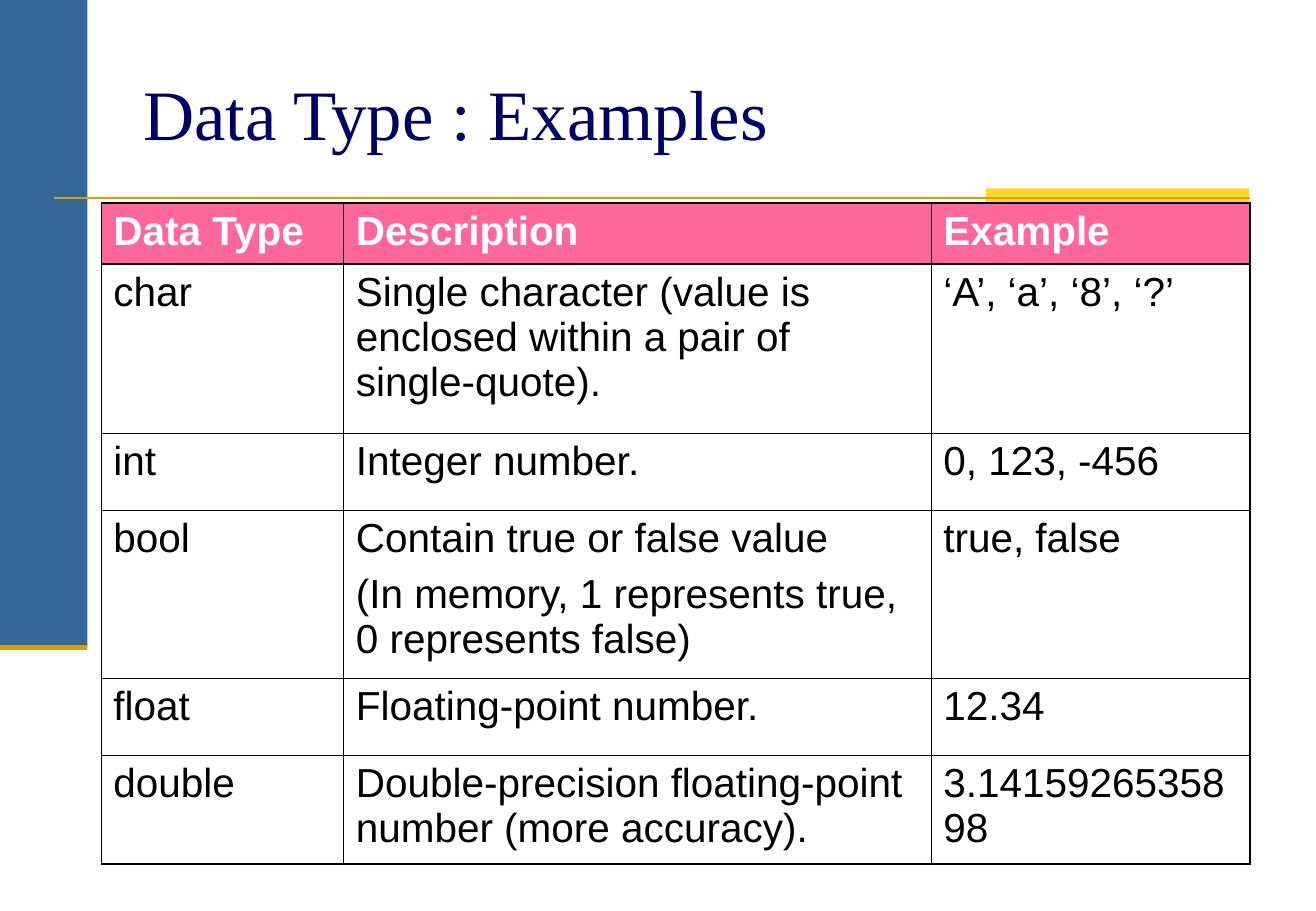
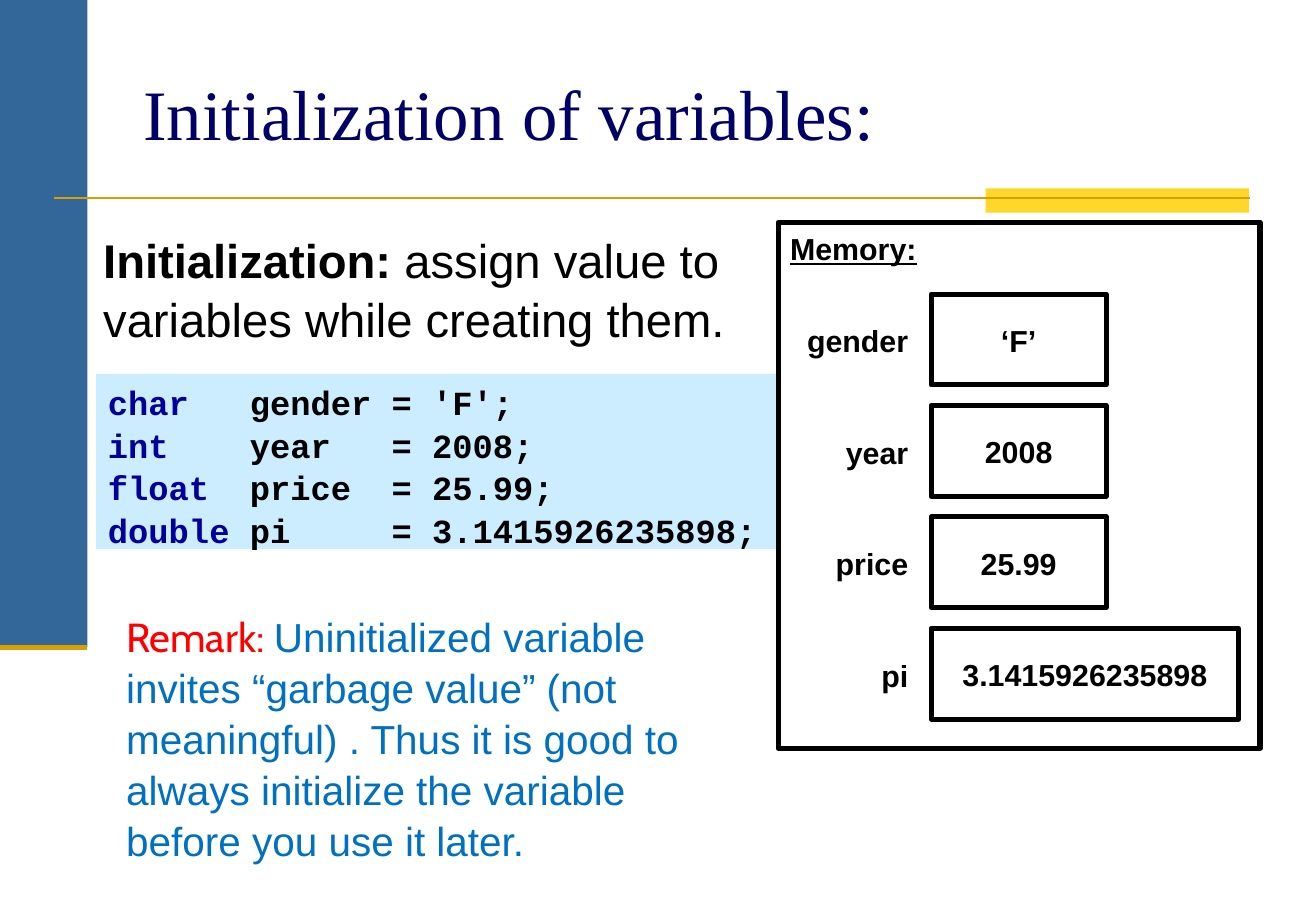
from lxml.etree import SubElement
from pptx import Presentation
from pptx.dml.color import RGBColor
from pptx.enum.shapes import MSO_CONNECTOR, MSO_SHAPE
from pptx.enum.text import MSO_ANCHOR, PP_ALIGN
from pptx.oxml.ns import qn
from pptx.util import Cm, Pt

WHITE = RGBColor(0xFF, 0xFF, 0xFF)
BLACK = RGBColor(0x00, 0x00, 0x00)
STEEL = RGBColor(0x33, 0x66, 0x99)
YELLOW = RGBColor(0xFF, 0xD7, 0x2B)
GOLD = RGBColor(0xD8, 0x9F, 0x00)
NAVY = RGBColor(0x00, 0x00, 0x66)
PINK = RGBColor(0xFF, 0x66, 0x99)
PALE_BLUE = RGBColor(0xCC, 0xEC, 0xFF)
KEYWORD_BLUE = RGBColor(0x00, 0x00, 0x99)
RED = RGBColor(0xFF, 0x00, 0x00)
REMARK_BLUE = RGBColor(0x00, 0x70, 0xC0)

BODY, SERIF, MONO, ACCENT = "Arial", "Times New Roman", "Courier New", "Cabin"
LINE_SPACING = 1.05
THICK, THIN = Pt(1.08), Pt(0.45)

TYPE_ROWS = [
    ("Data Type", "Description", "Example"),
    ("char", "Single character (value is enclosed within a pair of single-quote).",
     "‘A’, ‘a’, ‘8’, ‘?’"),
    ("int", "Integer number.", "0, 123, -456"),
    ("bool", "Contain true or false value\n(In memory, 1 represents true, 0 represents false)",
     "true, false"),
    ("float", "Floating-point number.", "12.34"),
    ("double", "Double-precision floating-point number (more accuracy).",
     "3.1415926535898"),
]
COLUMN_WIDTHS = (5.07, 12.29, 6.67)
ROW_HEIGHTS = (1.27, 3.54, 1.61, 3.51, 1.61, 2.28)

CODE_LINES = [
    ("char", "   gender = 'F';"),
    ("int", "    year   = 2008;"),
    ("float", "  price  = 25.99;"),
    ("double", " pi     = 3.1415926235898;"),
]
MEMORY = [("gender", "‘F’", 3.66), ("year", "2008", 3.66),
          ("price", "25.99", 3.66), ("pi", "3.1415926235898", 6.43)]


def style(font, size, color, name=BODY, bold=False, underline=False):
    font.size, font.name, font.bold, font.underline = Pt(size), name, bold, underline
    font.color.rgb = color


def add_span(para, text, size, color, **looks):
    span = para.add_run()
    span.text = text
    style(span.font, size, color, **looks)


def add_rect(page, left, top, width, height, fill, outlined=False):
    rect = page.shapes.add_shape(MSO_SHAPE.RECTANGLE, Cm(left), Cm(top), Cm(width), Cm(height))
    rect.shadow.inherit = False
    rect.fill.solid()
    rect.fill.fore_color.rgb = fill
    if outlined:
        rect.line.color.rgb = BLACK
        rect.line.width = Pt(3)
    else:
        rect.line.fill.background()
    return rect


def add_rule(page, left, right, y, weight):
    rule = page.shapes.add_connector(MSO_CONNECTOR.STRAIGHT, Cm(left), Cm(y), Cm(right), Cm(y))
    rule.line.color.rgb = GOLD
    rule.line.width = Pt(weight)
    SubElement(rule.element.spPr, qn("a:effectLst"))
    return rule


def first_para(shape, align=PP_ALIGN.LEFT, anchor=MSO_ANCHOR.TOP):
    """Prepare the shape for wrapped text and return its first paragraph."""
    shape.text_frame.word_wrap = True
    shape.text_frame.vertical_anchor = anchor
    para = shape.text_frame.paragraphs[0]
    para.alignment = align
    para.line_spacing = LINE_SPACING
    return para


def add_text(page, left, top, width, height, align=PP_ALIGN.LEFT):
    box = page.shapes.add_textbox(Cm(left), Cm(top), Cm(width), Cm(height))
    return first_para(box, align)


def add_page(deck, title):
    page = deck.slides.add_slide(deck.slide_layouts[5])
    heading = page.shapes.title
    heading.left, heading.top, heading.width, heading.height = Cm(2.74), Cm(0.76), Cm(23.4), Cm(3.18)
    heading.text_frame.text = title
    heading.text_frame.vertical_anchor = MSO_ANCHOR.MIDDLE
    para = heading.text_frame.paragraphs[0]
    para.alignment = PP_ALIGN.LEFT
    style(para.runs[0].font, 42, NAVY, name=SERIF)
    return page


def move_bands_to_layout(page):
    """Draw the shared bands and place them on the layout of the page."""
    layout = page.slide_layout
    for holder in list(layout.placeholders):
        if holder.placeholder_format.idx:
            layout.shapes.element.remove(holder.element)
    bands = [
        add_rect(page, 0, 0, 1.83, 13.54, STEEL),
        add_rect(page, 20.62, 3.94, 5.51, 0.51, YELLOW),
        add_rule(page, 1.14, 26.14, 4.14, 1.5),
        add_rule(page, 0, 1.83, 13.54, 3.5),
    ]
    for position, band in enumerate(bands, start=2):
        layout.shapes.element.insert(position, band.element)


def set_borders(cell, **weights):
    """Set black borders; the keys are L, R, T and B in that order."""
    properties = cell._tc.get_or_add_tcPr()
    for side, weight in weights.items():
        line = SubElement(properties, qn(f"a:ln{side}"), w=str(int(weight)))
        fill = SubElement(line, qn("a:solidFill"))
        SubElement(fill, qn("a:srgbClr"), val=str(BLACK))


def fill_cell(cell, text, is_header):
    cell.text_frame.text = text
    for index, para in enumerate(cell.text_frame.paragraphs):
        if index:
            para.space_before = Pt(6)
        style(para.runs[0].font, 24, WHITE if is_header else BLACK, bold=is_header)
    if is_header:
        cell.fill.solid()
        cell.fill.fore_color.rgb = PINK
    else:
        cell.fill.background()


def add_type_table(page):
    table = page.shapes.add_table(
        len(TYPE_ROWS), len(COLUMN_WIDTHS), Cm(2.12), Cm(4.25),
        Cm(sum(COLUMN_WIDTHS)), Cm(sum(ROW_HEIGHTS))).table
    table.first_row = table.horz_banding = False
    for column, width in zip(table.columns, COLUMN_WIDTHS):
        column.width = Cm(width)
    last_row, last_column = len(TYPE_ROWS) - 1, len(COLUMN_WIDTHS) - 1
    for r, texts in enumerate(TYPE_ROWS):
        table.rows[r].height = Cm(ROW_HEIGHTS[r])
        for c, text in enumerate(texts):
            cell = table.cell(r, c)
            set_borders(cell,
                        L=THICK if c == 0 else THIN,
                        R=THICK if c == last_column else THIN,
                        T=THICK if r in (0, 1) else THIN,
                        B=THICK if r in (0, last_row) else THIN)
            fill_cell(cell, text, r == 0)


def add_code(page):
    panel = add_rect(page, 2.01, 7.82, 23.29, 3.66, PALE_BLUE)
    para = first_para(panel)
    for index, (keyword, rest) in enumerate(CODE_LINES):
        if index:
            para = panel.text_frame.add_paragraph()
            para.alignment = PP_ALIGN.LEFT
            para.line_spacing = LINE_SPACING
        add_span(para, keyword, 20, KEYWORD_BLUE, name=MONO, bold=True)
        add_span(para, rest, 20, BLACK, name=MONO, bold=True)


def add_memory(page):
    frame = add_rect(page, 16.28, 4.65, 10.08, 11, WHITE, outlined=True)
    add_span(first_para(frame), "Memory:", 18, BLACK, bold=True, underline=True)
    for index, (name, value, width) in enumerate(MEMORY):
        top = 6.15 + index * 2.33
        slot = add_rect(page, 19.48, top, width, 1.9, WHITE, outlined=True)
        add_span(first_para(slot, PP_ALIGN.CENTER, MSO_ANCHOR.MIDDLE), value, 18, BLACK, bold=True)
        label = add_text(page, 16.28, top + 0.43, 2.97, 1.02, PP_ALIGN.RIGHT)
        add_span(label, name, 18, BLACK, bold=True)


def main():
    deck = Presentation()
    deck.slide_width, deck.slide_height = Cm(27.53), Cm(19.05)

    page = add_page(deck, "Data Type : Examples")
    move_bands_to_layout(page)
    add_type_table(page)

    page = add_page(deck, "Initialization of variables:")
    add_code(page)
    add_memory(page)
    intro = add_text(page, 1.91, 4.65, 13.97, 2.64)
    add_span(intro, "Initialization:", 28, BLACK, bold=True)
    add_span(intro, " assign value to variables while creating them.", 28, BLACK)
    remark = add_text(page, 2.39, 12.62, 13.39, 5.33)
    add_span(remark, "Remark: ", 24, RED, name=ACCENT)
    add_span(remark, "Uninitialized variable invites “garbage value” (not meaningful) . "
             "Thus it is good to always initialize the variable before you use it later.",
             24, REMARK_BLUE)

    deck.save("out.pptx")


if __name__ == "__main__":
    main()
